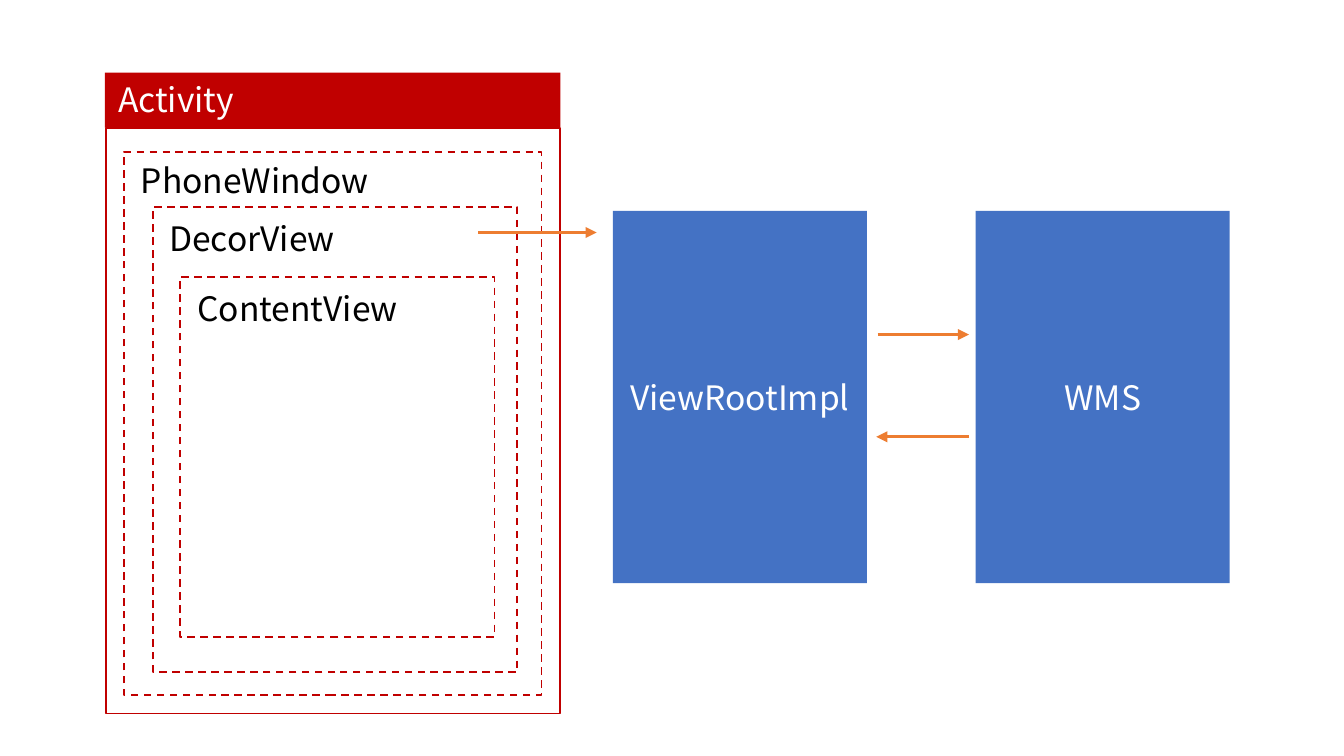
from typing import NamedTuple, Optional

from lxml.etree import SubElement
from pptx import Presentation
from pptx.dml.color import RGBColor
from pptx.enum.dml import MSO_LINE
from pptx.enum.shapes import MSO_CONNECTOR, MSO_SHAPE
from pptx.enum.text import MSO_ANCHOR, PP_ALIGN
from pptx.oxml.ns import qn
from pptx.util import Inches, Pt

RED = RGBColor(0xC0, 0x00, 0x00)
BLUE = RGBColor(0x44, 0x72, 0xC4)
ORANGE = RGBColor(0xED, 0x7D, 0x31)
BLACK = RGBColor(0x00, 0x00, 0x00)
WHITE = RGBColor(0xFF, 0xFF, 0xFF)
FONT = "Noto Sans CJK SC"


class Box(NamedTuple):
    left: float
    top: float
    width: float
    height: float


class Layer(NamedTuple):
    name: str
    frame: Box
    label: Box


class Arrow(NamedTuple):
    start: float
    end: float
    y: float


ACTIVITY = Box(0.79, 0.95, 3.38, 4.36)
HEADER = Box(0.78, 0.54, 3.39, 0.41)
LAYERS = [
    Layer("PhoneWindow", Box(0.92, 1.13, 3.11, 4.04), Box(0.95, 1.14, 1.98, 0.4)),
    Layer("DecorView", Box(1.14, 1.54, 2.71, 3.46), Box(1.16, 1.57, 1.5, 0.4)),
    Layer("ContentView", Box(1.34, 2.06, 2.34, 2.68), Box(1.37, 2.09, 1.75, 0.4)),
]
BLOCKS = {
    "ViewRootImpl": Box(4.56, 1.57, 1.89, 2.77),
    "WMS": Box(7.26, 1.57, 1.89, 2.77),
}
ARROWS = [Arrow(3.56, 4.44, 1.73), Arrow(6.53, 7.21, 2.49), Arrow(7.21, 6.52, 3.25)]


def write(shape, text: str, color: RGBColor = WHITE, align=PP_ALIGN.LEFT,
          anchor=MSO_ANCHOR.TOP, wrap: bool = True) -> None:
    frame = shape.text_frame
    frame.word_wrap = wrap
    frame.vertical_anchor = anchor
    para = frame.paragraphs[0]
    para.alignment = align
    run = para.add_run()
    run.text = text
    run.font.name = FONT
    run.font.size = Pt(18)
    run.font.color.rgb = color


def add_box(slide, box: Box, fill: Optional[RGBColor] = None,
            line: Optional[RGBColor] = None, dash: bool = False):
    shape = slide.shapes.add_shape(MSO_SHAPE.RECTANGLE, *map(Inches, box))
    shape.shadow.inherit = False
    if fill is None:
        shape.fill.background()
    else:
        shape.fill.solid()
        shape.fill.fore_color.rgb = fill
    if line is None:
        shape.line.fill.background()
    else:
        shape.line.color.rgb = line
        shape.line.width = Pt(1)
        if dash:
            shape.line.dash_style = MSO_LINE.DASH
    return shape


def add_arrow(slide, arrow: Arrow) -> None:
    y = Inches(arrow.y)
    link = slide.shapes.add_connector(
        MSO_CONNECTOR.STRAIGHT, Inches(arrow.start), y, Inches(arrow.end), y)
    link.line.color.rgb = ORANGE
    link.line.width = Pt(1.5)
    SubElement(link.line._get_or_add_ln(), qn("a:tailEnd"), type="triangle")
    SubElement(link._element.spPr, qn("a:effectLst"))


def main() -> None:
    # Widescreen page, 16:9
    deck = Presentation()
    deck.slide_width = Inches(10)
    deck.slide_height = Inches(10 * 9 / 16)
    slide = deck.slides.add_slide(deck.slide_layouts[6])

    # Activity panel with its header
    add_box(slide, ACTIVITY, line=RED)
    write(add_box(slide, HEADER, fill=RED), "Activity")

    # Nested windows and views
    for layer in LAYERS:
        add_box(slide, layer.frame, line=RED, dash=True)
        label = slide.shapes.add_textbox(*map(Inches, layer.label))
        write(label, layer.name, color=BLACK, wrap=False)

    # Blocks outside the activity
    for name, box in BLOCKS.items():
        write(add_box(slide, box, fill=BLUE), name,
              align=PP_ALIGN.CENTER, anchor=MSO_ANCHOR.MIDDLE)

    # Calls between the parts
    for arrow in ARROWS:
        add_arrow(slide, arrow)

    deck.save("out.pptx")


if __name__ == "__main__":
    main()
